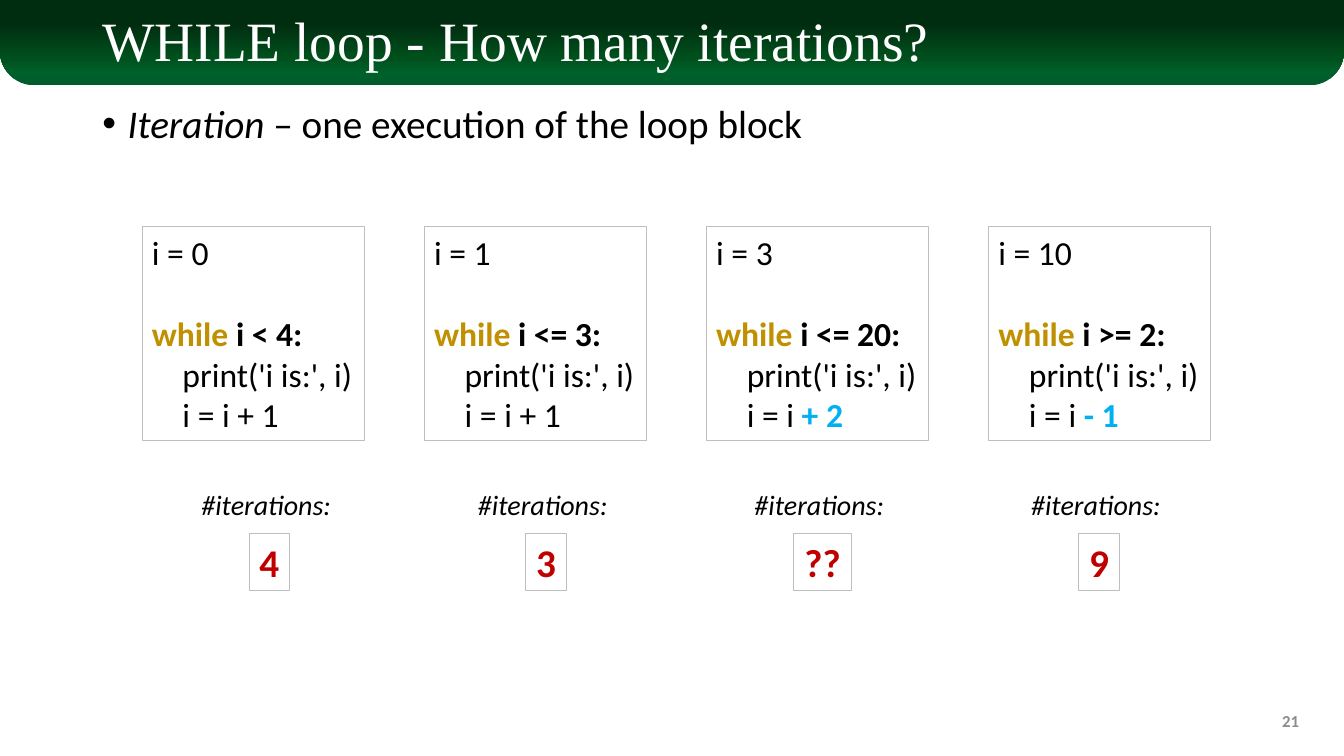
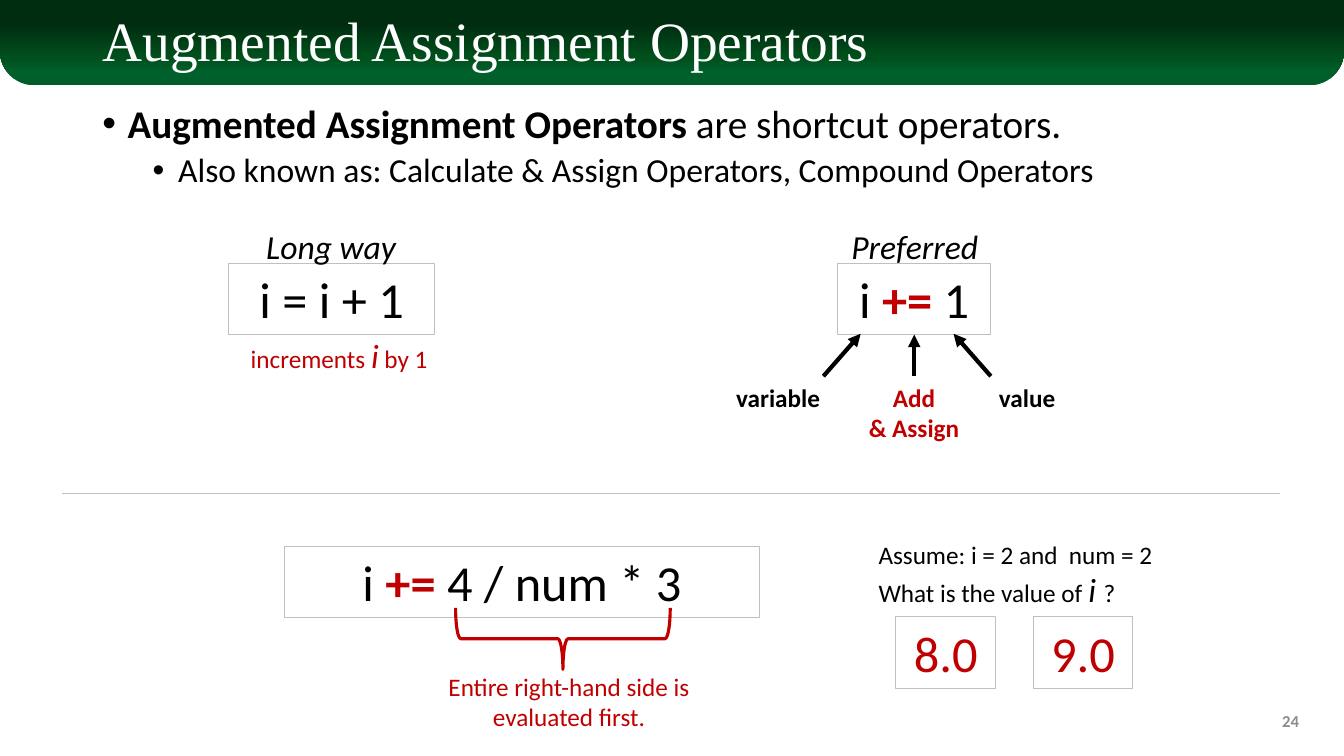
from dataclasses import dataclass

from lxml import etree
from pptx import Presentation
from pptx.dml.color import RGBColor
from pptx.enum.shapes import MSO_CONNECTOR, MSO_SHAPE
from pptx.enum.text import MSO_ANCHOR, PP_ALIGN
from pptx.oxml.ns import qn
from pptx.util import Cm, Pt

BLACK = RGBColor(0x00, 0x00, 0x00)
WHITE = RGBColor(0xFF, 0xFF, 0xFF)
RED = RGBColor(0xC0, 0x00, 0x00)
GOLD = RGBColor(0xBF, 0x90, 0x00)
BLUE = RGBColor(0x00, 0xB0, 0xF0)
BORDER = RGBColor(0xBF, 0xBF, 0xBF)
NUMBER_GREY = RGBColor(0x8C, 0x8C, 0x8C)
BAND_STOPS = (
    (0, RGBColor(0x00, 0x5C, 0x2B)),
    (15, RGBColor(0x00, 0x60, 0x2B)),
    (32, RGBColor(0x00, 0x50, 0x1D)),
    (72, RGBColor(0x00, 0x2D, 0x10)),
)
BODY_FONT = "Calibri"
TITLE_FONT = "Times New Roman"
LEFT, CENTER, RIGHT = PP_ALIGN.LEFT, PP_ALIGN.CENTER, PP_ALIGN.RIGHT
TOP, MIDDLE = MSO_ANCHOR.TOP, MSO_ANCHOR.MIDDLE
STRAIGHT = MSO_CONNECTOR.STRAIGHT
BAND_SHAPE = MSO_SHAPE.ROUND_2_SAME_RECTANGLE
BRACE = MSO_SHAPE.RIGHT_BRACE
BOTTOM_SIDE = 2
SLIDE_W, SLIDE_H = 33.87, 19.05
EXPR_H = 1.8


@dataclass(frozen=True)
class Run:
    text: str
    size: float = 24
    color: RGBColor = BLACK
    bold: bool = False
    italic: bool = False
    font: str = BODY_FONT


@dataclass(frozen=True)
class Para:
    runs: tuple[Run, ...]
    align: PP_ALIGN = LEFT
    before: float = 0
    spacing: float = 1
    margin: float = 0
    bullet: bool = False
    level: int = 0


@dataclass(frozen=True)
class Box:
    left: float
    top: float
    width: float
    height: float


@dataclass(frozen=True)
class LoopExample:
    start: str
    condition: str
    step: str
    changed_step: str
    answer: str
    answer_width: float = 1.02


LOOPS = (
    LoopExample("i = 0", "i < 4:", "i = i + 1", "", "4"),
    LoopExample("i = 1", "i <= 3:", "i = i + 1", "", "3"),
    LoopExample("i = 3", "i <= 20:", "i = i ", "+ 2", "??", 1.45),
    LoopExample("i = 10", "i >= 2:", "i = i ", "- 1", "9"),
)


def add_text(slide, box: Box, *paras: Para, border: bool = False,
             wrap: bool = True, anchor: MSO_ANCHOR = TOP):
    sp = slide.shapes.add_textbox(Cm(box.left), Cm(box.top),
                                  Cm(box.width), Cm(box.height))
    if border:
        sp.line.color.rgb = BORDER
        sp.line.width = Pt(0.75)
    tf = sp.text_frame
    tf.word_wrap = wrap
    tf.vertical_anchor = anchor
    for i, para in enumerate(paras):
        p = tf.add_paragraph() if i else tf.paragraphs[0]
        p.alignment = para.align
        p.level = para.level
        p.space_before = Pt(para.before)
        p.line_spacing = para.spacing
        format_indent(p, para)
        for run in para.runs:
            r = p.add_run()
            r.text = run.text
            r.font.name = run.font
            r.font.size = Pt(run.size)
            r.font.bold = run.bold
            r.font.italic = run.italic
            r.font.color.rgb = run.color
    return sp


def format_indent(p, para: Para) -> None:
    """Set the left margin and, if asked for, a hanging bullet."""
    pPr = p._p.get_or_add_pPr()
    pPr.set("marL", str(Cm(para.margin)))
    if para.bullet:
        pPr.set("indent", str(-Cm(0.64)))
        font = etree.SubElement(pPr, qn("a:buFont"))
        font.set("typeface", "Arial")
        etree.SubElement(pPr, qn("a:buChar")).set("char", "•")


def add_line(slide, start: tuple[float, float], end: tuple[float, float],
             color: RGBColor, width: float, arrow: bool = False, target=None):
    """Draw a line; a target shape is joined at its bottom middle."""
    cx = slide.shapes.add_connector(STRAIGHT, Cm(start[0]), Cm(start[1]),
                                    Cm(end[0]), Cm(end[1]))
    if target is not None:
        cx.end_connect(target, BOTTOM_SIDE)
    cx.line.color.rgb = color
    cx.line.width = Pt(width)
    spPr = cx._element.spPr
    if arrow:
        tail = etree.SubElement(spPr.find(qn("a:ln")), qn("a:tailEnd"))
        tail.set("type", "triangle")
    etree.SubElement(spPr, qn("a:effectLst"))


def add_band(slide) -> None:
    sp = slide.shapes.add_shape(BAND_SHAPE, 0, 0, Cm(SLIDE_W), Cm(2.15))
    sp.shadow.inherit = False
    sp.adjustments[0], sp.adjustments[1] = 0, 0.4
    sp.line.fill.background()
    sp.fill.gradient()
    sp.fill.gradient_angle = 90
    stops = sp._element.spPr.find(qn("a:gradFill")).find(qn("a:gsLst"))
    for stop in list(stops):
        stops.remove(stop)
    for percent, color in BAND_STOPS:
        stop = etree.SubElement(stops, qn("a:gs"))
        stop.set("pos", str(percent * 1000))
        etree.SubElement(stop, qn("a:srgbClr")).set("val", str(color))


def add_base_slide(prs, title: str, number: str, *bullets: Para):
    """Add a slide with the band, title, bullets and slide number."""
    slide = prs.slides.add_slide(prs.slide_layouts[6])
    add_band(slide)
    add_text(slide, Box(2.33, 0.33, 29.21, 1.55),
             Para((Run(title, 39.6, WHITE, font=TITLE_FONT),), spacing=0.9),
             anchor=MIDDLE)
    add_text(slide, Box(2.33, 2.51, 29.21, 14.65), *bullets)
    add_text(slide, Box(25.37, 17.65, 7.62, 1.02),
             Para((Run(number, 12, NUMBER_GREY, bold=True),), RIGHT),
             anchor=MIDDLE)
    return slide


def main_bullet(*runs: Run) -> Para:
    return Para(runs, before=10, spacing=0.9, margin=0.64, bullet=True)


def sub_bullet(*runs: Run) -> Para:
    return Para(runs, before=5, spacing=0.9, margin=1.91, bullet=True, level=1)


def centered(*runs: Run) -> Para:
    return Para(runs, CENTER)


def add_loop_example(slide, column: int, loop: LoopExample) -> None:
    step = (Run(loop.step),)
    if loop.changed_step:
        step += (Run(loop.changed_step, color=BLUE, bold=True),)
    add_text(
        slide, Box(3.58 + 7.11 * column, 5.72, 5.6, 5.38),
        Para((Run(loop.start),)),
        Para((Run("while ", color=GOLD, bold=True),
              Run(loop.condition, bold=True)), before=29.3),
        Para((Run("print('i is:', i)"),), margin=0.77),
        Para(step, margin=0.77),
        border=True, wrap=False)

    middle = 6.79 + 6.97 * column
    add_text(slide, Box(middle - 2.02, 12.17, 4.04, 1.12),
             centered(Run("#iterations: ", 20, italic=True)), wrap=False)
    add_text(slide, Box(middle - loop.answer_width / 2, 13.44,
                        loop.answer_width, 1.45),
             centered(Run(loop.answer, 28, RED, bold=True)),
             border=True, wrap=False)


def add_expression(slide, left: float, top: float, width: float, *runs: Run):
    return add_text(slide, Box(left, top, width, EXPR_H), centered(*runs),
                    border=True)


def augmented(right_side: str) -> tuple[Run, ...]:
    return (Run("i ", 36), Run("+= ", 36, RED, bold=True), Run(right_side, 36))


def build_iterations(prs) -> None:
    slide = add_base_slide(
        prs, "WHILE loop - How many iterations?", "21",
        main_bullet(Run("Iteration", 28, italic=True),
                    Run(" – one execution of the loop block", 28)))
    for column, loop in enumerate(LOOPS):
        add_loop_example(slide, column, loop)


def add_comparison(slide) -> None:
    add_expression(slide, 5.77, 6.63, 5.18, Run("i = i + 1", 36))
    preferred = add_expression(slide, 21.11, 6.63, 3.86, *augmented("1"))
    for heading, left in (("Long way", 5.13), ("Preferred", 19.84)):
        add_text(slide, Box(left, 5.56, 6.43, 1.27),
                 centered(Run(heading, italic=True)))

    for lines, left, width, color in (
        (("variable",), 18.29, 2.64, BLACK),
        (("Add", "& Assign"), 21.64, 2.79, RED),
        (("value",), 24.92, 1.93, BLACK),
    ):
        paras = [centered(Run(line, 18, color, bold=True)) for line in lines]
        add_text(slide, Box(left, 9.5, width, 0.24 + 0.78 * len(lines)),
                 *paras, wrap=False)

    for x_from, x_to, target in ((20.75, 21.69, None),
                                 (23.04, 23.04, preferred),
                                 (24.97, 24.03, None)):
        add_line(slide, (x_from, 9.48), (x_to, 8.41), BLACK, 3,
                 arrow=True, target=target)

    add_text(slide, Box(6.07, 8.31, 5.03, 1.27),
             Para((Run("increments ", 18, RED), Run("i", 24, RED, italic=True),
                   Run(" by 1", 18, RED))), wrap=False)


def add_evaluation(slide) -> None:
    add_expression(slide, 7.16, 13.77, 11.99, *augmented("4 / num * 3"))
    brace = slide.shapes.add_shape(BRACE, Cm(13.41), Cm(13.39),
                                   Cm(1.55), Cm(5.41))
    brace.rotation = 90
    brace.shadow.inherit = False
    brace.fill.background()
    brace.line.color.rgb = RED
    brace.line.width = Pt(2.25)
    add_text(slide, Box(10.9, 16.79, 6.88, 1.8),
             centered(Run("Entire right-hand side is evaluated first.",
                          18, RED)))
    add_text(slide, Box(21.89, 13.46, 7.52, 2.06),
             Para((Run("Assume: i = 2 and  num = 2", 18),)),
             Para((Run("What is the value of ", 18),
                   Run("i ", italic=True), Run("?", 18))), wrap=False)
    for left, value in ((22.58, "8.0"), (26.04, "9.0")):
        add_expression(slide, left, 15.54, 2.51, Run(value, 36, RED))


def build_operators(prs) -> None:
    slide = add_base_slide(
        prs, "Augmented Assignment Operators", "24",
        main_bullet(Run("Augmented Assignment Operators ", 28, bold=True),
                    Run("are shortcut operators.", 28)),
        sub_bullet(Run("Also known as: Calculate & Assign Operators, "
                       "Compound Operators")))
    add_comparison(slide)
    add_line(slide, (1.57, 12.42), (32.26, 12.42), BORDER, 0.5)
    add_evaluation(slide)


def main() -> None:
    prs = Presentation()
    prs.slide_width, prs.slide_height = Cm(SLIDE_W), Cm(SLIDE_H)
    build_iterations(prs)
    build_operators(prs)
    prs.save("out.pptx")


if __name__ == "__main__":
    main()
